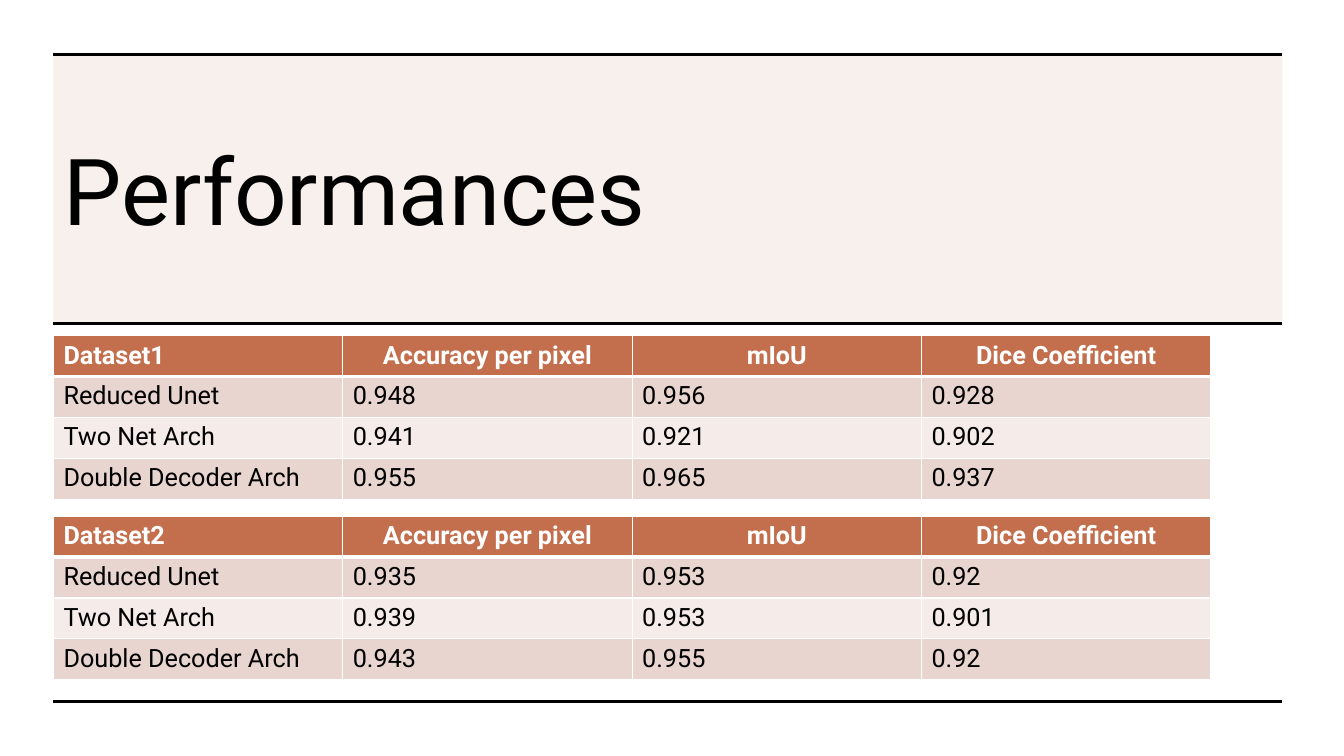
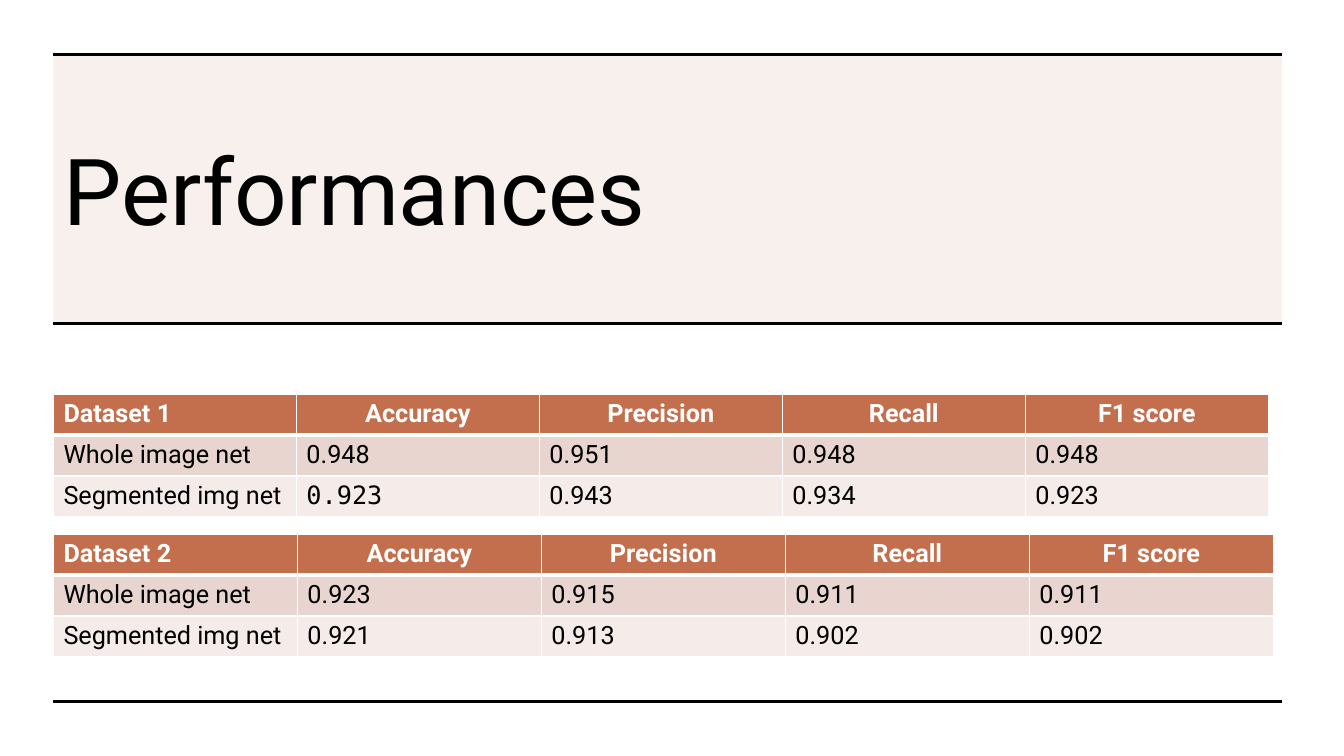
"""Build two slides of model performance tables."""
import pptx
import pptx.dml.color
import pptx.enum.shapes
import pptx.enum.text
import pptx.oxml
import pptx.oxml.ns
import pptx.util

Inches = pptx.util.Inches
Pt = pptx.util.Pt
RGBColor = pptx.dml.color.RGBColor
PP_ALIGN = pptx.enum.text.PP_ALIGN

BLACK = RGBColor(0x00, 0x00, 0x00)
WHITE = RGBColor(0xFF, 0xFF, 0xFF)
RUST = RGBColor(0xC3, 0x6F, 0x4D)
ROW_FILLS = (RGBColor(0xE9, 0xD5, 0xD0), RGBColor(0xF5, 0xEB, 0xE9))

FONT = "Roboto"
MONO_FONT = "DejaVu Sans Mono"
LEFT = 0.53
BAND_WIDTH = 12.19
BAND_TOP = 0.54
BAND_BOTTOM = 3.21
FOOT_RULE = 6.96
ROW_HEIGHT = 0.406

PIXEL_HEADINGS = ("Accuracy per pixel", "mIoU", "Dice Coefficient")
SCORE_HEADINGS = ("Accuracy", "Precision", "Recall", "F1 score")


def style_run(run, size, color, bold=False, font=FONT):
    """Set the font of one run."""
    run.font.name = font
    run.font.size = Pt(size)
    run.font.bold = bold
    run.font.color.rgb = color


def add_band(slide):
    """Add the translucent band behind the title."""
    band = slide.shapes.add_shape(
        pptx.enum.shapes.MSO_SHAPE.RECTANGLE, Inches(LEFT), Inches(BAND_TOP),
        Inches(BAND_WIDTH), Inches(BAND_BOTTOM - BAND_TOP))
    band.shadow.inherit = False
    band.line.fill.background()
    band.fill.solid()
    band.fill.fore_color.rgb = RUST
    color = band._element.spPr.find(".//" + pptx.oxml.ns.qn("a:srgbClr"))
    color.append(pptx.oxml.parse_xml(
        f'<a:alpha {pptx.oxml.ns.nsdecls("a")} val="10000"/>'))
    slide.shapes.title._element.addprevious(band._element)


def add_rule(slide, top):
    """Add a horizontal rule as wide as the band."""
    rule = slide.shapes.add_connector(
        pptx.enum.shapes.MSO_CONNECTOR.STRAIGHT, Inches(LEFT), Inches(top),
        Inches(LEFT + BAND_WIDTH), Inches(top))
    rule.line.color.rgb = BLACK
    rule.line.width = Pt(2.25)
    rule._element.spPr.append(pptx.oxml.parse_xml(
        f'<a:effectLst {pptx.oxml.ns.nsdecls("a")}/>'))


def format_title(title, text):
    """Place the title placeholder and set its text."""
    title.left, title.top = Inches(LEFT), Inches(0.79)
    title.width, title.height = Inches(11.83), Inches(2.16)
    frame = title.text_frame
    frame.text = text
    frame.word_wrap = True
    frame.auto_size = pptx.enum.text.MSO_AUTO_SIZE.NONE
    frame.vertical_anchor = pptx.enum.text.MSO_ANCHOR.MIDDLE
    paragraph = frame.paragraphs[0]
    paragraph.alignment = PP_ALIGN.LEFT
    style_run(paragraph.runs[0], 66, BLACK)


def add_performance_slide(presentation):
    """Add a title-only slide with the band, title and rules."""
    slide = presentation.slides.add_slide(presentation.slide_layouts[5])
    format_title(slide.shapes.title, "Performances")
    add_band(slide)
    for top in (BAND_TOP, BAND_BOTTOM, FOOT_RULE):
        add_rule(slide, top)
    return slide


def set_borders(cell, top, bottom):
    """Draw white borders, with top and bottom widths in points."""
    properties = cell._tc.get_or_add_tcPr()
    for side, width in (("L", 1), ("R", 1), ("T", top), ("B", bottom)):
        properties.append(pptx.oxml.parse_xml(
            f'<a:ln{side} {pptx.oxml.ns.nsdecls("a")} w="{Pt(width)}">'
            f'<a:solidFill><a:srgbClr val="{WHITE}"/></a:solidFill>'
            f'</a:ln{side}>'))


def fill_cell(cell, text, row, column):
    """Write and format one cell by its place in the table."""
    is_header = row == 0
    set_borders(cell, 3 if row == 1 else 1, 3 if is_header else 1)
    cell.fill.solid()
    cell.fill.fore_color.rgb = RUST if is_header else ROW_FILLS[(row - 1) % 2]
    cell.text_frame.text = text
    paragraph = cell.text_frame.paragraphs[0]
    if is_header and column > 0:
        paragraph.alignment = PP_ALIGN.CENTER
    style_run(paragraph.runs[0], 18, WHITE if is_header else BLACK, is_header)


def add_score_table(slide, top, column_width, rows):
    """Add a table with a header row and equal columns."""
    count = len(rows[0])
    table = slide.shapes.add_table(
        len(rows), count, Inches(LEFT), Inches(top),
        Inches(column_width * count), Inches(ROW_HEIGHT * len(rows))).table
    for column in table.columns:
        column.width = Inches(column_width)
    for row, texts in enumerate(rows):
        table.rows[row].height = Inches(ROW_HEIGHT)
        for column, text in enumerate(texts):
            fill_cell(table.cell(row, column), text, row, column)
    return table


def main():
    """Build and save the presentation."""
    presentation = pptx.Presentation()
    presentation.slide_width = Inches(13.33)
    presentation.slide_height = Inches(7.5)

    slide = add_performance_slide(presentation)
    add_score_table(slide, 3.33, 2.87, (
        ("Dataset1", *PIXEL_HEADINGS),
        ("Reduced Unet", "0.948", "0.956", "0.928"),
        ("Two Net Arch", "0.941", "0.921", "0.902"),
        ("Double Decoder Arch", "0.955", "0.965", "0.937")))
    add_score_table(slide, 5.12, 2.87, (
        ("Dataset2", *PIXEL_HEADINGS),
        ("Reduced Unet", "0.935", "0.953", "0.92"),
        ("Two Net Arch", "0.939", "0.953", "0.901"),
        ("Double Decoder Arch", "0.943", "0.955", "0.92")))

    slide = add_performance_slide(presentation)
    table = add_score_table(slide, 3.91, 2.41, (
        ("Dataset 1", *SCORE_HEADINGS),
        ("Whole image net", "0.948", "0.951", "0.948", "0.948"),
        ("Segmented img net", "0.923", "0.943", "0.934", "0.923")))
    segmented_accuracy = table.cell(2, 1).text_frame.paragraphs[0].runs[0]
    segmented_accuracy.font.name = MONO_FONT
    add_score_table(slide, 5.3, 2.42, (
        ("Dataset 2", *SCORE_HEADINGS),
        ("Whole image net", "0.923", "0.915", "0.911", "0.911"),
        ("Segmented img net", "0.921", "0.913", "0.902", "0.902")))

    presentation.save("out.pptx")


if __name__ == "__main__":
    main()
